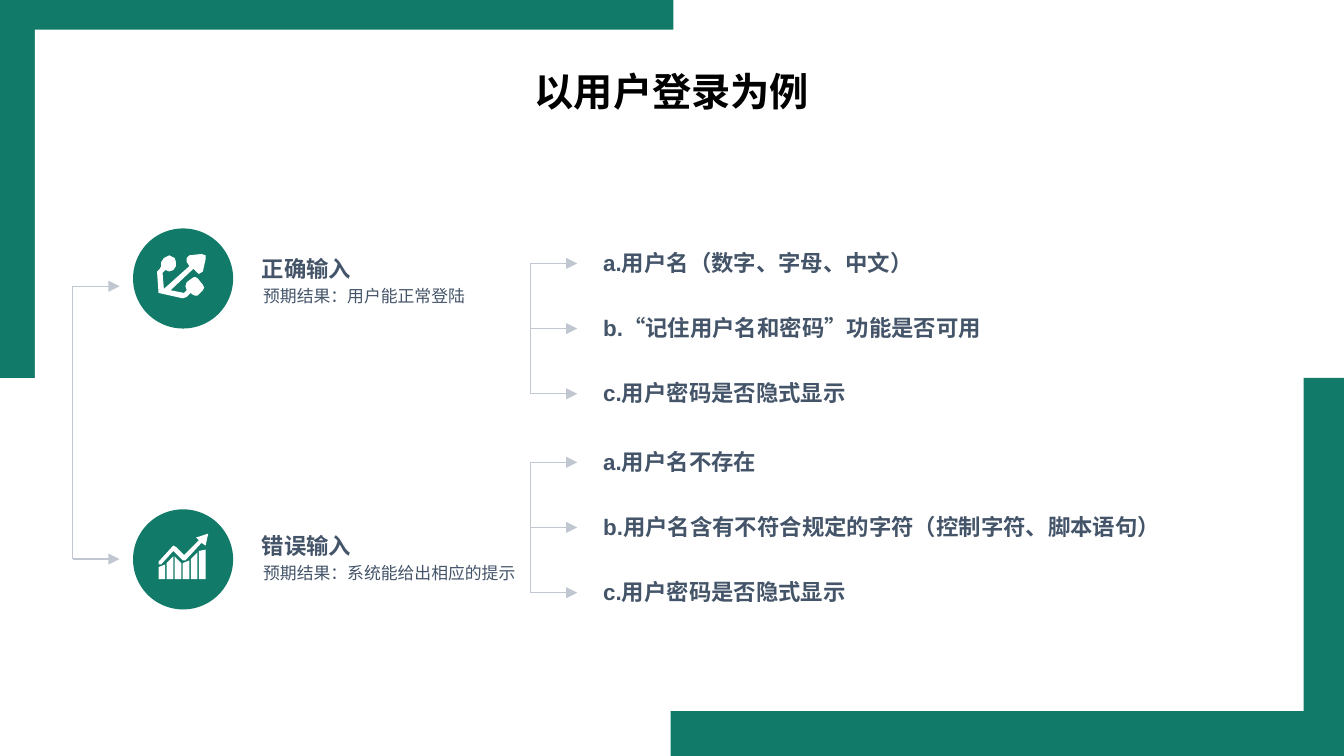
from dataclasses import dataclass
from lxml.etree import SubElement
from pptx import Presentation
from pptx.dml.color import RGBColor
from pptx.enum.shapes import MSO_CONNECTOR as CONN, MSO_SHAPE as SHAPE
from pptx.enum.text import PP_ALIGN as ALIGN
from pptx.oxml.ns import qn
from pptx.util import Inches, Pt

# Content
TITLE = "以用户登录为例"
BRANCHES = [
    dict(head="正确输入", result="预期结果：用户能正常登陆", icon="network",
         items=["a.用户名（数字、字母、中文）",
                "b.“记住用户名和密码”功能是否可用",
                "c.用户密码是否隐式显示"]),
    dict(head="错误输入", result="预期结果：系统能给出相应的提示", icon="growth",
         items=["a.用户名不存在",
                "b.用户名含有不符合规定的字符（控制字符、脚本语句）",
                "c.用户密码是否隐式显示"]),
]

# Icon outlines, in hundredths of an inch from the icon's top left
BAR_TOPS = [(25, 23), (22, 17), (17, 22), (22, 20), (19, 14), (13, 12)]
ICONS = {
    "network": [[
        (29, 14), (31, 15.5), (34, 14), (36, 5), (36, 2), (33, 1), (24, 2),
        (22, 4), (22, 7), (24, 10), (5, 27), (4, 15), (6, 13), (9, 14),
        (12, 13), (14, 10), (14, 7), (13, 4), (9, 2.5), (5, 4), (3, 7),
        (3, 10), (2, 12), (0, 14), (0, 16), (1, 30), (19, 34), (22, 33),
        (25, 30), (26, 31), (28, 32.5), (30, 32), (34, 28), (35, 26),
        (34, 24), (30, 19), (28, 18), (26, 19), (22, 22), (21, 25), (22, 28),
        (20, 30), (10, 28), (27, 12)]],
    "growth": [[
        (36, 9), (33, 7), (21, 20), (19, 20), (12, 13), (3, 23), (1, 23),
        (1, 21), (11, 10), (12, 9), (14, 10), (20, 16), (31, 5), (29, 3),
        (38, 0)]] + [
        [(1 + 6 * i, a), (6 + 6 * i, b), (6 + 6 * i, 34), (1 + 6 * i, 34)]
        for i, (a, b) in enumerate(BAR_TOPS)],
}


@dataclass(frozen=True)
class Theme:
    green: str = "117A68"
    white: str = "FFFFFF"
    black: str = "000000"
    text: str = "445469"
    line: str = "C1C7D0"
    title_pt: float = 21
    head_pt: float = 12
    small_pt: float = 9
    line_pt: float = 0.75


T = Theme()

# Layout grid, in inches
W, H = 10, 5.625
ROOT_X, ICON_X, HEAD_X, SPINE_X, ITEM_X = 0.54, 0.99, 1.85, 3.945, 4.39
ARROW, DISC = 0.35, 0.745
DISC_Y, HEAD_Y, ROOT_Y, ITEM_Y = (1.7, 3.79), (1.81, 3.87), (2.13, 4.16), (1.96, 3.44)
ITEM_STEP = 0.485
ROW_H = 0.34

prs = Presentation()
prs.slide_width, prs.slide_height = Inches(W), Inches(H)
slide = prs.slides.add_slide(prs.slide_layouts[6])
shapes = slide.shapes


def paint(sp, color):
    sp.shadow.inherit = False
    sp.fill.solid()
    sp.fill.fore_color.rgb = RGBColor.from_string(color)
    sp.line.fill.background()


def add_block(kind, x, y, w, h, color):
    paint(shapes.add_shape(kind, Inches(x), Inches(y), Inches(w), Inches(h)), color)


def add_icon(name, x, y):
    first, *rest = ICONS[name]
    fb = shapes.build_freeform(*first[0], scale=Inches(0.01))
    fb.add_line_segments(first[1:], close=True)
    for contour in rest:
        fb.move_to(*contour[0])
        fb.add_line_segments(contour[1:], close=True)
    paint(fb.convert_to_shape(Inches(x), Inches(y)), T.white)


def add_line(x1, y1, x2, y2, arrow=False):
    c = shapes.add_connector(CONN.STRAIGHT, *map(Inches, (x1, y1, x2, y2)))
    c.line.color.rgb = RGBColor.from_string(T.line)
    c.line.width = Pt(T.line_pt)
    if arrow:
        SubElement(c.line._get_or_add_ln(), qn("a:tailEnd"), type="triangle")
    SubElement(c._element.spPr, qn("a:effectLst"))


def add_fork(x, ys):
    """A vertical spine with an arrow to the right at each height."""
    add_line(x, ys[0], x, ys[-1])
    for y in ys:
        add_line(x, y, x + ARROW, y, arrow=True)


def add_text(text, x, y, w, h=ROW_H, *, size=T.head_pt, color=T.text, bold=True,
             font="Arial", align=ALIGN.LEFT, spacing=1.2):
    tf = shapes.add_textbox(*map(Inches, (x, y, w, h))).text_frame
    tf.word_wrap = True
    p = tf.paragraphs[0]
    p.alignment, p.line_spacing = align, spacing
    r = p.add_run()
    r.text = text
    r.font.size, r.font.bold, r.font.name = Pt(size), bold, font
    r.font.color.rgb = RGBColor.from_string(color)


# Corner frame
add_block(SHAPE.RECTANGLE, 0, 0, 5.01, H / 2, T.green)
add_block(SHAPE.RECTANGLE, 4.99, H / 2, 5.01, H / 2, T.green)
add_block(SHAPE.RECTANGLE, 0.26, 0.22, 9.44, 5.07, T.white)

# Title
add_text(TITLE, 3.42, 0.45, 3.16, 0.45, size=T.title_pt, color=T.black,
         font="Calibri", align=ALIGN.CENTER, spacing=1.0)

# Branches
add_fork(ROOT_X, ROOT_Y)
for branch, disc_y, head_y, item_y in zip(BRANCHES, DISC_Y, HEAD_Y, ITEM_Y):
    add_block(SHAPE.OVAL, ICON_X, disc_y, DISC, DISC, T.green)
    add_icon(branch["icon"], ICON_X + 0.18, disc_y + 0.18)
    add_text(branch["head"], HEAD_X, head_y, 1.76)
    add_text(branch["result"], HEAD_X + 0.01, head_y + 0.24, 2.1, 0.28,
             size=T.small_pt, bold=False)

    # Test cases
    ys = [item_y + i * ITEM_STEP for i in range(len(branch["items"]))]
    add_fork(SPINE_X, ys)
    for item, y in zip(branch["items"], ys):
        add_text(item, ITEM_X, y - 0.195, 4.84)

prs.save("out.pptx")
